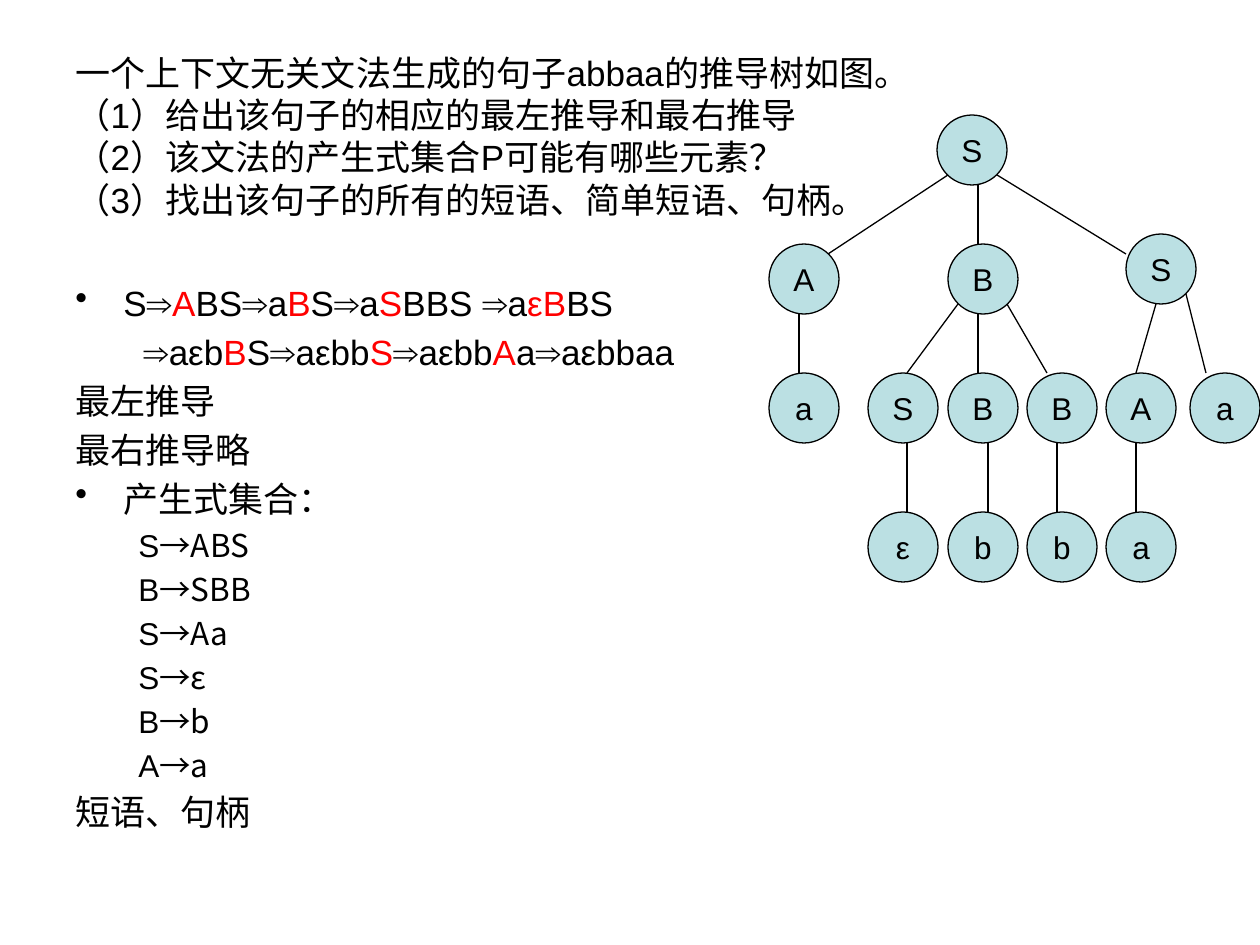
from lxml import etree
from pptx import Presentation
from pptx import util as u
from pptx.dml.color import RGBColor
from pptx.enum import shapes, text
from pptx.oxml.ns import qn

SCALE = 914400 / 126
COLORS = {"ink": "000000", "mark": "FF0000", "node": "BBE0E3", "page": "FFFFFF"}
SANS, CJK = "Arial", "Noto Sans CJK SC"
NODE = 70

TITLE = [
    "一个上下文无关文法生成的句子abbaa的推导树如图。",
    "（1）给出该句子的相应的最左推导和最右推导",
    "（2）该文法的产生式集合P可能有哪些元素？",
    "（3）找出该句子的所有的短语、简单短语、句柄。",
]
RULES = ["S|→ABS", "B|→SBB", "S|→Aa", "S|→ε", "B|→b", "A|→a"]
ROWS = [
    (115, [(937, "S")]),
    (244, [(769, "A"), (948, "B")]),
    (234, [(1126, "S")]),
    (373, [(769, "a"), (868, "S"), (948, "B"), (1027, "B"), (1106, "A"), (1190, "a")]),
    (512, [(868, "ε"), (948, "b"), (1027, "b"), (1106, "a")]),
]
EDGES = [
    (978, 185, 978, 244), (948, 175, 828, 254), (997, 175, 1126, 254),
    (799, 314, 799, 373), (978, 314, 978, 373), (958, 304, 907, 373),
    (1007, 304, 1047, 373), (1156, 304, 1136, 373), (1186, 294, 1206, 373),
] + [(x, 442, x, 512) for x in (907, 988, 1057, 1136)]


def px(n):
    """Turn pixels into EMU."""
    return u.Emu(round(n * SCALE))


def rgb(name):
    """Look up a named colour."""
    return RGBColor.from_string(COLORS[name])


def write(para, words, size=20, faces=(SANS, SANS), inks=("ink", "ink")):
    """Add runs whose face and ink alternate at each bar."""
    for i, part in enumerate(words.split("|")):
        if part:
            run = para.add_run()
            run.text = part
            run.font.size = u.Pt(size)
            run.font.name = faces[i % 2]
            run.font.color.rgb = rgb(inks[i % 2])


def space(para, size, left=0, hang=0, dot=False):
    """Set line pitch, indents and an optional bullet."""
    para.line_spacing = u.Pt(size * 1.2)
    para.space_before = u.Pt(size * 0.2)
    props = para._p.get_or_add_pPr()
    props.set("marL", str(px(left)))
    props.set("indent", str(px(-hang)))
    if dot:
        etree.SubElement(props, qn("a:buChar")).set("char", "•")


def head(slide):
    """Place and fill the title."""
    box = slide.shapes.title
    box.left, box.top, box.width, box.height = px(63), px(38), px(1134), px(196)
    frame = box.text_frame
    frame.auto_size = text.MSO_AUTO_SIZE.NONE
    frame.vertical_anchor = text.MSO_ANCHOR.MIDDLE
    para = frame.paragraphs[0]
    para.alignment = text.PP_ALIGN.LEFT
    para.line_spacing = u.Pt(24)
    for i, line in enumerate(TITLE):
        if i:
            para.add_line_break()
        write(para, line)


def body(slide):
    """Write the answers under the title."""
    frame = slide.shapes.add_textbox(px(63), px(275), px(1134), px(615)).text_frame
    frame.word_wrap = True
    paras = [frame.paragraphs[0]]

    def add(words, size=20, left=0, hang=0, dot=False, **style):
        """Append one paragraph."""
        para = paras.pop() if paras else frame.add_paragraph()
        space(para, size, left, hang, dot)
        write(para, words, size, **style)

    red = {"inks": ("ink", "mark")}
    add("S⇒|A|BS⇒a|B|S⇒a|S|BBS ⇒a|εB|BS", left=48, hang=48, dot=True, **red)
    add("⇒aεb|B|S⇒aεbb|S|⇒aεbb|A|a⇒aεbbaa", left=68, **red)
    add("最左推导")
    add("最右推导略")
    add("产生式集合：", left=48, hang=48, dot=True)
    for rule in RULES:
        add(rule, size=18, left=102, hang=39, faces=(SANS, CJK))
    add("短语、句柄")


def node(slide, x, y, name):
    """Draw one tree node."""
    disc = slide.shapes.add_shape(shapes.MSO_SHAPE.OVAL, px(x), px(y), px(NODE), px(NODE))
    disc.shadow.inherit = False
    disc.fill.solid()
    disc.fill.fore_color.rgb = rgb("node")
    disc.line.color.rgb = rgb("ink")
    disc.line.width = u.Pt(0.75)
    frame = disc.text_frame
    frame.word_wrap = False
    frame.vertical_anchor = text.MSO_ANCHOR.MIDDLE
    frame.paragraphs[0].alignment = text.PP_ALIGN.CENTER
    write(frame.paragraphs[0], name, size=18)


def edge(slide, ends):
    """Draw one tree branch."""
    line = slide.shapes.add_connector(shapes.MSO_CONNECTOR.STRAIGHT, *map(px, ends))
    line.line.color.rgb = rgb("ink")
    line.line.width = u.Pt(0.75)
    etree.SubElement(line._element.spPr, qn("a:effectLst"))


def main():
    """Build and save the slide."""
    deck = Presentation()
    deck.slide_width, deck.slide_height = px(1260), px(945)
    slide = deck.slides.add_slide(deck.slide_layouts[5])
    slide.background.fill.solid()
    slide.background.fill.fore_color.rgb = rgb("page")
    head(slide)
    body(slide)
    for y, row in ROWS:
        for x, name in row:
            node(slide, x, y, name)
    for ends in EDGES:
        edge(slide, ends)
    deck.save("out.pptx")


if __name__ == "__main__":
    main()
